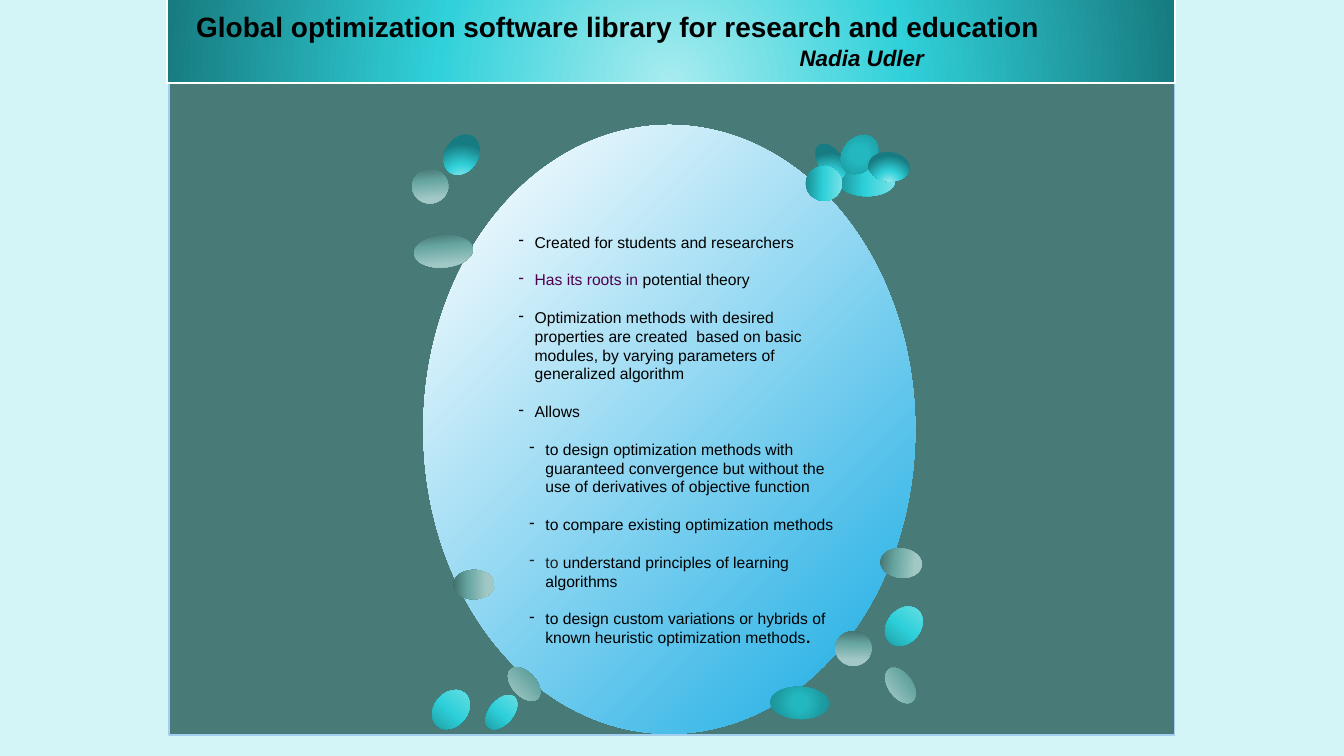
from lxml import etree
from pptx import Presentation
from pptx.dml.color import RGBColor
from pptx.enum.shapes import MSO_SHAPE as SHAPE
from pptx.enum.text import MSO_ANCHOR as ANCHOR, PP_ALIGN as ALIGN
from pptx.oxml.ns import qn
from pptx.util import Inches, Pt

TITLE = "Global optimization software library for research and education"
AUTHOR = "Nadia Udler"

# (level, runs); a run is (text, colour, bold)
POINTS = [
    (0, [("Created for students and researchers", "000000", False)]),
    (0, [("Has its roots in ", "500050", False), ("potential theory", "000000", False)]),
    (0, [("Optimization methods with desired properties are created  based on basic "
          "modules, by varying parameters of generalized algorithm", "000000", False)]),
    (0, [("Allows", "000000", False)]),
    (1, [("to design optimization methods with guaranteed convergence but without "
          "the use of derivatives of objective function", "000000", False)]),
    (1, [("to compare existing optimization methods", "000000", False)]),
    (1, [("to ", "222222", False),
         ("understand principles of learning algorithms", "000000", False)]),
    (1, [("to design custom variations or hybrids of known heuristic optimization methods",
          "000000", False), (".", "000000", True)]),
]

# Gradients: stops, then an angle or the fill-to rectangle (left, top, right, bottom)
GLOW = ([(0, "A8ECEF"), (46, "31D1DA"), (100, "177C81")], (50, 130, 50, -30))
TEAL = ([(0, "23B7BF"), (23, "23B7BF"), (69, "1D9BA1"), (97, "1B9096")], (50, 50, 50, 50))
AQUA = ([(0, "1A8A90"), (48, "2DD0D9"), (100, "7DE2E7")], 270)
GREY = ([(0, "416E6B"), (37, "67A6A2"), (80, "A1C8C5")], 0)
SKY = ([(0, "FFFFFF"), (3, "FFFFFF"), (97, "1CADE4")], 225)

# Pebble sizes (width, height)
LONG, SLIM, ROUND, EGG, FLAT = (0.24, 0.44), (0.18, 0.3), (0.26, 0.27), (0.25, 0.32), (0.31, 0.22)

# (left, top, size, rotation, gradient)
PEBBLES_BEHIND_TEXT = [
    (6.32, 1.12, LONG, 92, AQUA), (6.09, 1.05, SLIM, 144.2, GLOW),
    (6.0, 1.23, ROUND, 92, AQUA), (6.27, 0.99, EGG, 40.2, TEAL),
    (6.46, 1.13, FLAT, 6.3, GLOW),
    (5.83, 5.01, LONG, 92, TEAL), (6.61, 4.95, SLIM, 144.2, GREY),
    (6.22, 4.69, ROUND, 92, GREY), (6.6, 4.5, EGG, 40.2, AQUA),
    (6.55, 4.08, FLAT, 6.3, GREY),
    (3.18, 1.65, LONG, 84.8, GREY), (3.81, 4.94, SLIM, 137, GREY),
    (3.07, 1.25, ROUND, 84.8, GREY), (3.31, 0.99, EGG, 33, GLOW),
    (3.37, 4.24, FLAT, 359.2, GREY),
]
PEBBLES_IN_FRONT = [(3.23, 5.12, EGG, 40.2, AQUA), (3.64, 5.15, SLIM, 40.2, AQUA)]


def rgb(colour):
    return RGBColor.from_string(colour)


def fill_gradient(shape, stops, direction):
    shape.fill.gradient()
    grad = shape.fill._xPr.find(qn("a:gradFill"))
    for child in list(grad):
        grad.remove(child)
    grad.set("rotWithShape", "1")
    stop_list = etree.SubElement(grad, qn("a:gsLst"))
    for position, colour in stops:
        stop = etree.SubElement(stop_list, qn("a:gs"), pos=str(position * 1000))
        etree.SubElement(stop, qn("a:srgbClr"), val=colour)
    if isinstance(direction, tuple):
        route = etree.SubElement(grad, qn("a:path"), path="circle")
        sides = {side: str(share * 1000) for side, share in zip("ltrb", direction)}
        etree.SubElement(route, qn("a:fillToRect"), **sides)
    else:
        etree.SubElement(grad, qn("a:lin"), ang=str(direction * 60000), scaled="0")


def add_form(slide, kind, left, top, width, height, fill, line=None, rotation=0):
    """Add a preset shape; fill is a hex colour or a gradient."""
    shape = slide.shapes.add_shape(kind, *map(Inches, (left, top, width, height)))
    shape.shadow.inherit = False
    shape.rotation = rotation
    if isinstance(fill, str):
        shape.fill.solid()
        shape.fill.fore_color.rgb = rgb(fill)
    else:
        fill_gradient(shape, *fill)
    if line:
        shape.line.color.rgb = rgb(line)
        shape.line.width = Pt(1)
    else:
        shape.line.fill.background()
    return shape


def add_pebbles(slide, pebbles):
    for left, top, size, rotation, gradient in pebbles:
        add_form(slide, SHAPE.OVAL, left, top, *size, gradient, rotation=rotation)


def add_run(paragraph, text, size, color="000000", bold=False, italic=False):
    run = paragraph.add_run()
    run.text = text
    font = run.font
    font.name, font.size, font.bold, font.italic = "Arial", Pt(size), bold, italic
    font.color.rgb = rgb(color)


def indent(paragraph, left, hanging=0, bullet=None):
    paragraph.alignment = ALIGN.LEFT
    properties = paragraph._p.get_or_add_pPr()
    properties.set("marL", str(Inches(left)))
    properties.set("indent", str(-Inches(hanging)))
    if bullet:
        etree.SubElement(properties, qn("a:buChar"), char=bullet)


def add_banner(slide):
    banner = add_form(slide, SHAPE.ROUNDED_RECTANGLE, 1.24, -0.02, 7.5, 0.64, GLOW, "FFFFFF")
    banner.adjustments[0] = 0
    frame = banner.text_frame
    frame.word_wrap = True
    frame.vertical_anchor = ANCHOR.MIDDLE
    frame.margin_left = frame.margin_right = 0
    title = frame.paragraphs[0]
    indent(title, 0.22)
    add_run(title, TITLE, 15, bold=True)
    author = frame.add_paragraph()
    author.space_before = Pt(1)
    indent(author, 4.71)
    add_run(author, AUTHOR, 12, bold=True, italic=True)


def add_points(slide):
    box = slide.shapes.add_textbox(*map(Inches, (3.76, 1.56, 2.65, 3.48)))
    frame = box.text_frame
    frame.word_wrap = True
    frame.margin_top = Inches(0.17)
    for number, (level, runs) in enumerate(POINTS):
        point = frame.add_paragraph() if number else frame.paragraphs[0]
        point.level = level
        point.space_before = Pt(10.15 if number else 0)
        indent(point, 0.12 + 0.08 * level, hanging=0.12, bullet="-")
        for text, color, bold in runs:
            add_run(point, text, 8.4, color=color, bold=bold)


def main():
    deck = Presentation()
    deck.slide_width = Inches(10)
    deck.slide_height = deck.slide_width * 9 // 16
    slide = deck.slides.add_slide(deck.slide_layouts[6])
    slide.background.fill.solid()
    slide.background.fill.fore_color.rgb = rgb("D4F5F7")

    add_form(slide, SHAPE.RECTANGLE, 1.26, 0.54, 7.48, 4.93, "487B78", "A3CEED")
    add_banner(slide)
    add_form(slide, SHAPE.OVAL, 3.15, 0.93, 3.66, 4.53, SKY, rotation=180)
    add_pebbles(slide, PEBBLES_BEHIND_TEXT)
    add_points(slide)
    add_pebbles(slide, PEBBLES_IN_FRONT)
    deck.save("out.pptx")


if __name__ == "__main__":
    main()
